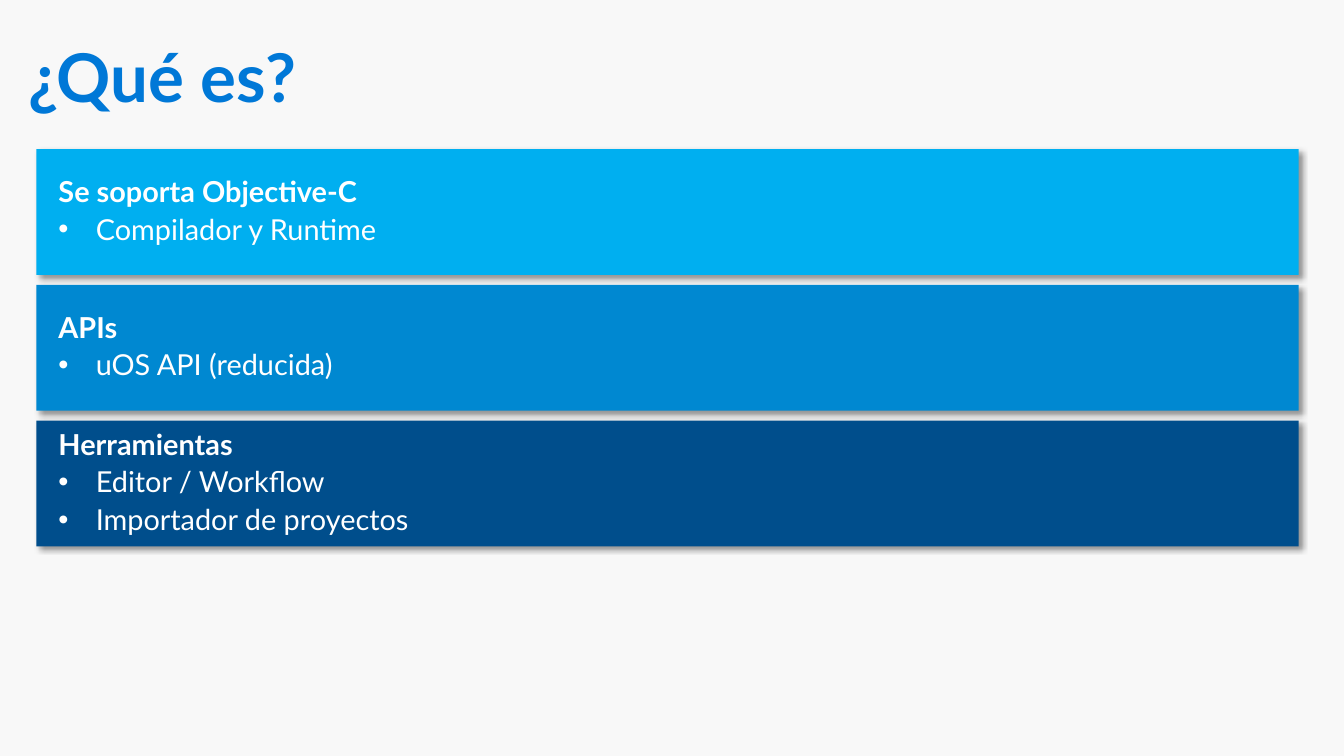
from dataclasses import dataclass

from lxml.etree import SubElement
from pptx import Presentation
from pptx.dml.color import RGBColor
from pptx.enum.shapes import MSO_SHAPE
from pptx.enum.text import MSO_ANCHOR, PP_ALIGN
from pptx.oxml.ns import qn
from pptx.util import Inches, Pt


@dataclass(frozen=True)
class Theme:
    font: str = "Lato"
    back: str = "F8F8F8"
    title: str = "0078D7"
    text: str = "FFFFFF"
    shade: str = "000000"
    head: float = 48
    body: float = 20.6


THEME = Theme()
BANDS = [
    ("00AFF0", "Se soporta Objective-C", ["Compilador y Runtime"]),
    ("0088D1", "APIs", ["uOS API (reducida)"]),
    ("004E8C", "Herramientas", ["Editor / Workflow", "Importador de proyectos"]),
]


def apply(item, values):
    for name, value in values.items():
        setattr(item, name, value)


def set_frame(frame, anchor, left, top, right, bottom):
    apply(frame, {
        "word_wrap": True,
        "vertical_anchor": anchor,
        "margin_left": Inches(left),
        "margin_top": Inches(top),
        "margin_right": Inches(right),
        "margin_bottom": Inches(bottom),
    })


def write(para, text, size, color, bold, before=0):
    apply(para, {"alignment": PP_ALIGN.LEFT, "line_spacing": 0.9,
                 "space_before": Pt(before)})
    run = para.add_run()
    run.text = text
    apply(run.font, {"name": THEME.font, "size": Pt(size), "bold": bold})
    run.font.color.rgb = RGBColor.from_string(color)


def add_bullet(para):
    props = para._p.get_or_add_pPr()
    props.set("marL", str(Inches(0.37)))
    props.set("indent", str(Inches(-0.37)))
    SubElement(props, qn("a:buFont"), typeface="Arial")
    SubElement(props, qn("a:buChar"), char="•")


def add_shadow(shape):
    shape.shadow.inherit = False
    effects = shape._element.spPr.find(qn("a:effectLst"))
    outer = SubElement(effects, qn("a:outerShdw"), blurRad=str(Pt(4)),
                       dist=str(Pt(3)), dir=str(45 * 60000),
                       algn="tl", rotWithShape="0")
    color = SubElement(outer, qn("a:srgbClr"), val=THEME.shade)
    SubElement(color, qn("a:alpha"), val="40000")


def add_title(slide, text, left, top, width, height):
    title = slide.shapes.title
    apply(title, {"left": Inches(left), "top": Inches(top),
                  "width": Inches(width), "height": Inches(height)})
    set_frame(title.text_frame, MSO_ANCHOR.TOP, 0.15, 0.12, 0.15, 0.12)
    write(title.text_frame.paragraphs[0], text, THEME.head, THEME.title, True)


def add_band(slide, band, left, top, width, height):
    color, head, points = band
    shape = slide.shapes.add_shape(
        MSO_SHAPE.RECTANGLE, Inches(left), Inches(top),
        Inches(width), Inches(height))
    shape.fill.solid()
    shape.fill.fore_color.rgb = RGBColor.from_string(color)
    shape.line.fill.background()
    add_shadow(shape)

    # Heading, then its bullet points
    frame = shape.text_frame
    set_frame(frame, MSO_ANCHOR.MIDDLE, 0.22, 0.09, 0.11, 0.09)
    write(frame.paragraphs[0], head, THEME.body, THEME.text, True, 4.4)
    for point in points:
        para = frame.add_paragraph()
        write(para, point, THEME.body, THEME.text, False, 4.4)
        add_bullet(para)


def add_stack(slide, bands, left, top, width, height, gap):
    tall = (height - gap * (len(bands) - 1)) / len(bands)
    for row, band in enumerate(bands):
        add_band(slide, band, left, top + row * (tall + gap), width, tall)


def main():
    deck = Presentation()
    apply(deck, {"slide_width": Inches(13.33), "slide_height": Inches(7.5)})
    slide = deck.slides.add_slide(deck.slide_layouts[5])
    fill = slide.background.fill
    fill.solid()
    fill.fore_color.rgb = RGBColor.from_string(THEME.back)

    # Title above a stack of equal bands
    add_title(slide, "¿Qué es?", 0.13, 0.32, 12.75, 0.98)
    add_stack(slide, BANDS, 0.36, 1.48, 12.52, 3.94, 0.1)
    deck.save("out.pptx")


if __name__ == "__main__":
    main()
